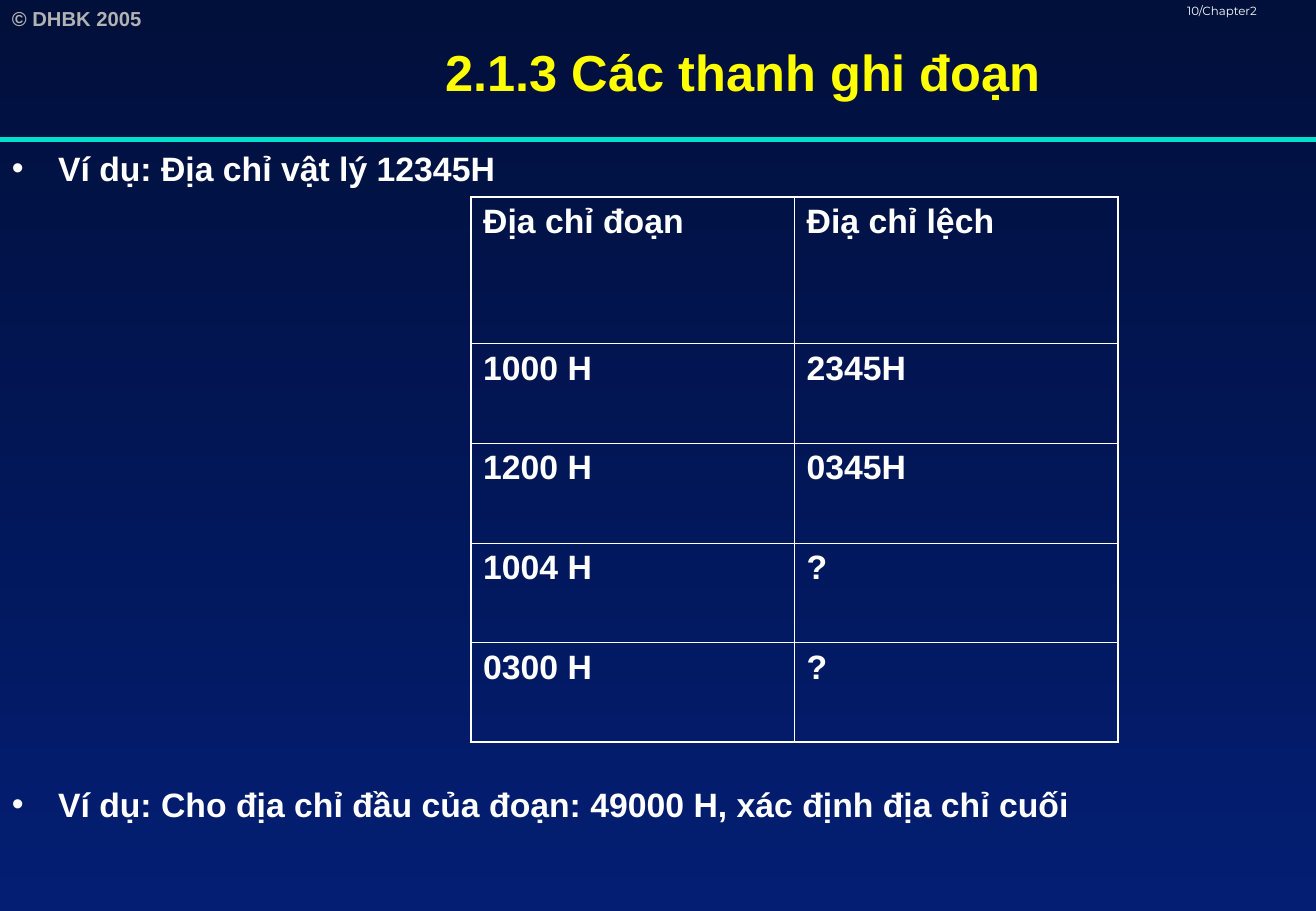
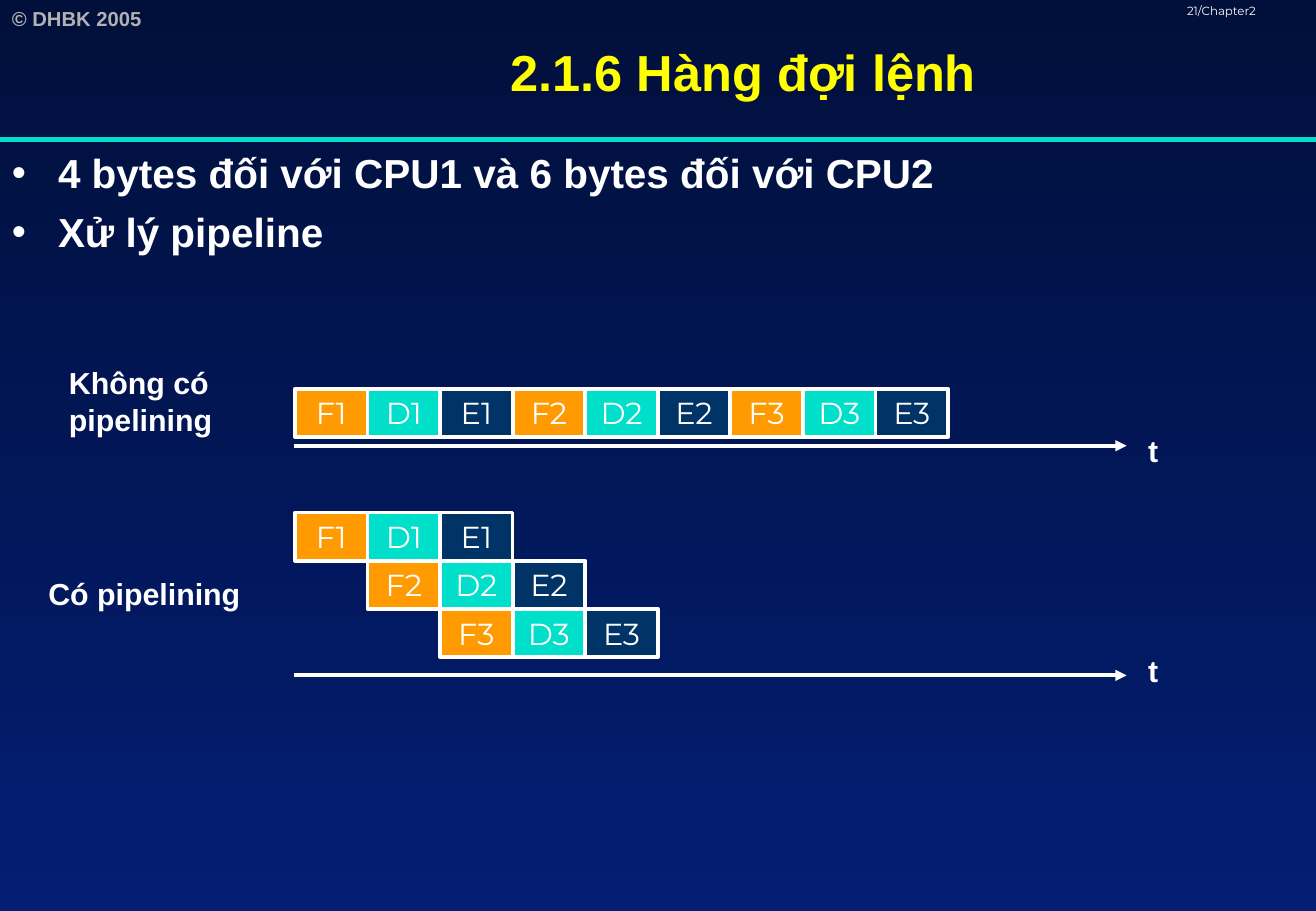
"""Builds two lecture slides on segment registers and the instruction queue."""
from lxml import etree
from pptx import Presentation
from pptx.dml.color import RGBColor
from pptx.enum import shapes, text
from pptx.oxml import ns
from pptx.util import Inches, Pt


class Theme:
    heading_font, diagram_font = "Arial", "Montserrat"
    white = RGBColor.from_string("FFFFFF")
    grey = RGBColor.from_string("B2B2B2")
    yellow = RGBColor.from_string("FFFF00")
    turquoise = RGBColor.from_string("00DFCA")
    orange = RGBColor.from_string("FF9B00")
    navy = RGBColor.from_string("003366")
    background = (RGBColor.from_string("010F3B"), RGBColor.from_string("031E73"))
    title_size, large_size, body_size = Pt(30), Pt(24), Pt(20)
    label_size, copyright_size, page_size = Pt(18), Pt(12), Pt(7)


def write_text(frame, lines, size, color=Theme.white, font=Theme.heading_font,
               bold=True, align=text.PP_ALIGN.LEFT, bullet=False):
    frame.word_wrap = True
    frame.auto_size = text.MSO_AUTO_SIZE.NONE
    frame.text = lines
    for index, paragraph in enumerate(frame.paragraphs):
        if bullet:
            properties = paragraph._p.get_or_add_pPr()
            properties.set("marL", str(Inches(0.38)))
            properties.set("indent", str(-Inches(0.38)))
            bullet_color = etree.SubElement(properties, ns.qn("a:buClr"))
            etree.SubElement(bullet_color, ns.qn("a:srgbClr"), val=str(color))
            etree.SubElement(properties, ns.qn("a:buFont"), typeface=font)
            etree.SubElement(properties, ns.qn("a:buChar"), char="•")
            if index:
                paragraph.space_before = Pt(6)
        paragraph.alignment = align
        for run in paragraph.runs:
            run.font.name, run.font.size = font, size
            run.font.bold, run.font.color.rgb = bold, color


def add_line(slide, left, right, top, color, width, arrow=False):
    line = slide.shapes.add_connector(
        shapes.MSO_CONNECTOR.STRAIGHT, Inches(left), Inches(top), Inches(right), Inches(top))
    line.line.color.rgb, line.line.width = color, Pt(width)
    if arrow:
        etree.SubElement(line.line._get_or_add_ln(), ns.qn("a:tailEnd"), type="triangle")
    etree.SubElement(line._element.spPr, ns.qn("a:effectLst"))


presentation = Presentation()
presentation.slide_width, presentation.slide_height = Inches(10.84), Inches(7.5)

background = presentation.slide_master.background.fill
background.gradient()
background.gradient_angle = 270
for stop, color in zip(background.gradient_stops, Theme.background):
    stop.color.rgb = color

title_only = presentation.slide_layouts[5]
for title, page in [("2.1.3 Các thanh ghi đoạn", "10/Chapter2"),
                    ("2.1.6 Hàng đợi lệnh", "21/Chapter2")]:
    slide = presentation.slides.add_slide(title_only)
    heading = slide.shapes.title
    heading.left, heading.top = Inches(1.41), Inches(0)
    heading.width, heading.height = Inches(9.43), Inches(1.17)
    heading.text_frame.vertical_anchor = text.MSO_ANCHOR.MIDDLE
    write_text(heading.text_frame, title, Theme.title_size, Theme.yellow,
               align=text.PP_ALIGN.CENTER)
    add_line(slide, 0, 10.84, 1.15, Theme.turquoise, 3)
    copyright_box = slide.shapes.add_textbox(Inches(0), Inches(0), Inches(1.57), Inches(0.3))
    write_text(copyright_box.text_frame, "© DHBK 2005", Theme.copyright_size, Theme.grey)
    page_box = slide.shapes.add_textbox(Inches(9.68), Inches(0), Inches(1.16), Inches(0.25))
    write_text(page_box.text_frame, page, Theme.page_size, font=Theme.diagram_font, bold=False)
    page_box.text_frame.paragraphs[0].line_spacing = 0.8

segment_slide, queue_slide = presentation.slides

for slide, top, height, size, lines in [
    (segment_slide, 1.17, 0.45, Theme.body_size, "Ví dụ: Địa chỉ vật lý 12345H"),
    (segment_slide, 6.4, 0.45, Theme.body_size,
     "Ví dụ: Cho địa chỉ đầu của đoạn: 49000 H, xác định địa chỉ cuối"),
    (queue_slide, 1.17, 1.1, Theme.large_size,
     "4 bytes đối với CPU1 và 6 bytes đối với CPU2\nXử lý pipeline"),
]:
    bullets = slide.shapes.add_textbox(Inches(0), Inches(top), Inches(10.84), Inches(height))
    write_text(bullets.text_frame, lines, size, bullet=True)

addresses = [("Địa chỉ đoạn", "Điạ chỉ lệch"), ("1000 H", "2345H"), ("1200 H", "0345H"),
             ("1004 H", "?"), ("0300 H", "?")]
table = segment_slide.shapes.add_table(
    len(addresses), 2, Inches(3.88), Inches(1.62), Inches(5.33), Inches(4.49)).table
table.first_row = table.horz_banding = False
for row_index, values in enumerate(addresses):
    table.rows[row_index].height = Inches(0.82 if row_index else 1.21)
    for column_index, value in enumerate(values):
        cell = table.cell(row_index, column_index)
        write_text(cell.text_frame, value, Theme.body_size)
        cell.fill.background()
        outer_sides = {"lnL": column_index == 0, "lnR": column_index == 1,
                       "lnT": row_index == 0, "lnB": row_index == len(addresses) - 1}
        for position, (side, outer) in enumerate(outer_sides.items()):
            border = etree.Element(ns.qn("a:" + side), w=str(Pt(1.08 if outer else 0.45)))
            border_fill = etree.SubElement(border, ns.qn("a:solidFill"))
            etree.SubElement(border_fill, ns.qn("a:srgbClr"), val=str(Theme.white))
            cell._tc.get_or_add_tcPr().insert(position, border)

stages = [("F", Theme.orange), ("D", Theme.turquoise), ("E", Theme.navy)]
stage_width, stage_height = 5.38 / 9, 1.19 / 3
for first_top, instruction_shift, row_step in [(3.2, 3, 0), (4.22, 1, stage_height)]:
    for instruction in range(3):
        for stage_index, (letter, color) in enumerate(stages):
            column = instruction * instruction_shift + stage_index
            stage = queue_slide.shapes.add_shape(
                shapes.MSO_SHAPE.RECTANGLE,
                Inches(2.43 + column * stage_width), Inches(first_top + instruction * row_step),
                Inches(stage_width), Inches(stage_height))
            stage.shadow.inherit = False
            stage.fill.solid()
            stage.fill.fore_color.rgb = color
            stage.line.color.rgb, stage.line.width = Theme.white, Pt(2.25)
            stage.text_frame.vertical_anchor = text.MSO_ANCHOR.MIDDLE
            write_text(stage.text_frame, f"{letter}{instruction + 1}", Theme.label_size,
                       font=Theme.diagram_font, bold=False, align=text.PP_ALIGN.CENTER)

for axis_top in (3.67, 5.56):
    add_line(queue_slide, 2.42, 9.28, axis_top, Theme.white, 2.25, arrow=True)

for left, top, width, height, label in [
    (0.47, 2.95, 1.6, 0.7, "Không có\npipelining"),
    (0.3, 4.69, 1.9, 0.4, "Có pipelining"),
    (9.36, 3.51, 0.4, 0.4, "t"),
    (9.36, 5.32, 0.4, 0.4, "t"),
]:
    label_box = queue_slide.shapes.add_textbox(
        Inches(left), Inches(top), Inches(width), Inches(height))
    write_text(label_box.text_frame, label, Theme.label_size)

presentation.save("out.pptx")
